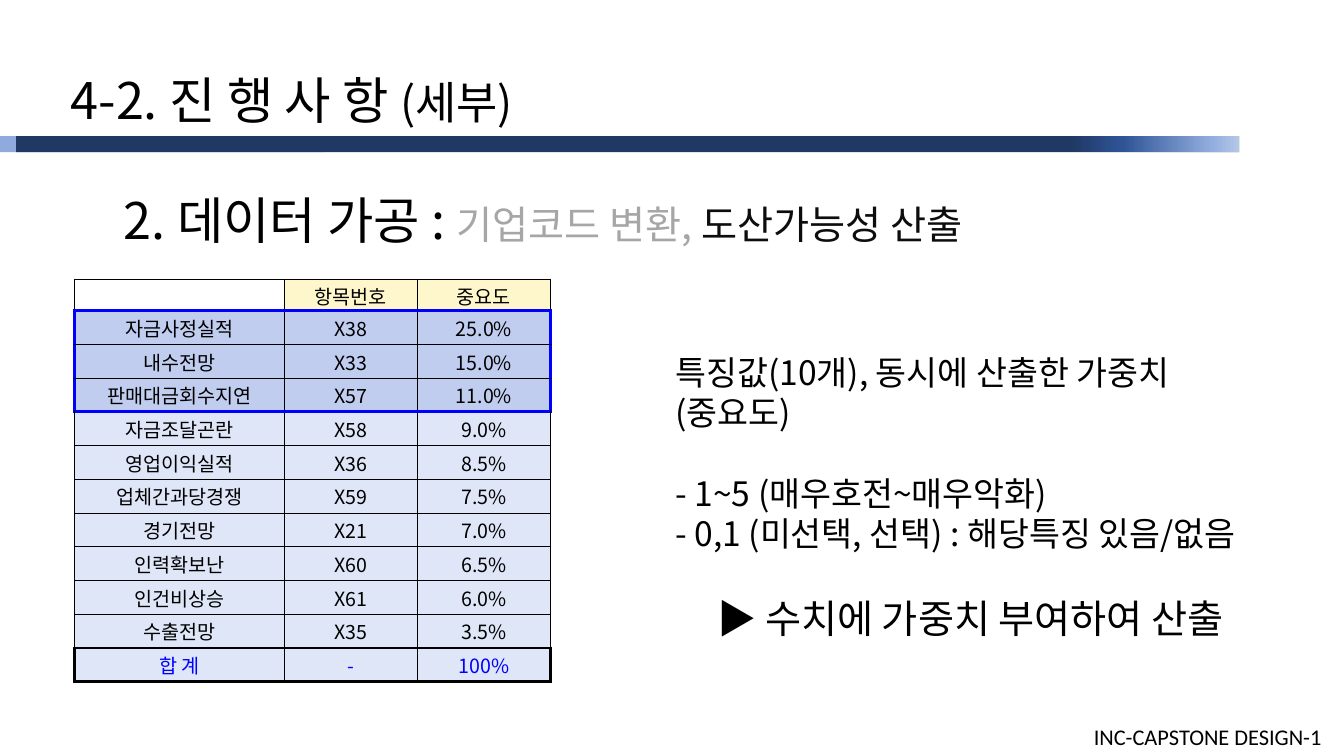
from pptx import Presentation
from pptx.dml.color import RGBColor
from pptx.enum.shapes import MSO_SHAPE as Shape
from pptx.enum.text import MSO_ANCHOR as Anchor, PP_ALIGN as Align
from pptx.oxml.ns import qn
from pptx.util import Inches, Pt
from lxml.etree import SubElement

KOREAN = "Noto Sans CJK KR"
BLACK, BLUE = "000000", "0000FF"
THIN, THICK = 0.28, 1.98

IMPORTANCE = [
    ("", "항목번호", "중요도"),
    ("자금사정실적", "X38", "25.0%"),
    ("내수전망", "X33", "15.0%"),
    ("판매대금회수지연", "X57", "11.0%"),
    ("자금조달곤란", "X58", "9.0%"),
    ("영업이익실적", "X36", "8.5%"),
    ("업체간과당경쟁", "X59", "7.5%"),
    ("경기전망", "X21", "7.0%"),
    ("인력확보난", "X60", "6.5%"),
    ("인건비상승", "X61", "6.0%"),
    ("수출전망", "X35", "3.5%"),
    ("합 계", "-", "100%"),
]
TOP_RANKED = range(1, 4)
TOTAL = len(IMPORTANCE) - 1


def color(value):
    return RGBColor.from_string(value)


def write(paragraph, text, size=24, ink=BLACK, font=KOREAN):
    run = paragraph.add_run()
    run.text = text
    run.font.size = Pt(size)
    run.font.name = font
    run.font.color.rgb = color(ink)
    SubElement(run.font._element, qn("a:ea"), typeface=font)


def row_fill(row, column):
    if row == 0:
        return "FFF7CC" if column else None
    return "C0CDEF" if row in TOP_RANKED else "DFE6F7"


def horizontal_edge(index):
    if index in (TOP_RANKED.start, TOP_RANKED.stop):
        return BLUE, THICK
    return BLACK, THICK if index >= TOTAL else THIN


def vertical_edge(row, index):
    if index in (0, 3):
        if row in TOP_RANKED:
            return BLUE, THICK
        if row == TOTAL:
            return BLACK, THICK
    return BLACK, THIN


class SlideBuilder:
    def __init__(self, deck):
        self.slide = deck.slides.add_slide(deck.slide_layouts[5])

    def bar(self, left, top, width, height, fill=None, stops=()):
        bar = self.slide.shapes.add_shape(
            Shape.RECTANGLE, Inches(left), Inches(top), Inches(width), Inches(height))
        bar.shadow.inherit = False
        bar.line.fill.background()
        if fill:
            bar.fill.solid()
            bar.fill.fore_color.rgb = color(fill)
            return
        bar.fill.gradient()
        bar.fill.gradient_angle = 180
        stop_list = bar._element.spPr.find(".//" + qn("a:gsLst"))
        for old_stop in list(stop_list):
            stop_list.remove(old_stop)
        for percent, shade in stops:
            stop = SubElement(stop_list, qn("a:gs"), pos=str(percent * 1000))
            SubElement(stop, qn("a:srgbClr"), val=shade)

    def place(self, shape, left, top, width, height, wrap=True):
        shape.left, shape.top = Inches(left), Inches(top)
        shape.width, shape.height = Inches(width), Inches(height)
        frame = shape.text_frame
        frame.word_wrap = wrap
        frame.vertical_anchor = Anchor.TOP
        frame.paragraphs[0].alignment = Align.LEFT
        return frame

    def title(self, *box):
        return self.place(self.slide.shapes.title, *box)

    def text(self, *box, wrap=True):
        return self.place(self.slide.shapes.add_textbox(0, 0, 0, 0), *box, wrap=wrap)

    def edge(self, cell, side, ink, width):
        line = SubElement(cell._tc.get_or_add_tcPr(), qn("a:" + side), w=str(Pt(width)))
        solid = SubElement(line, qn("a:solidFill"))
        SubElement(solid, qn("a:srgbClr"), val=ink)

    def cell(self, cell, text, row, column):
        cell.margin_left = cell.margin_right = Inches(0.07)
        cell.margin_top = cell.margin_bottom = Inches(0.02)
        cell.vertical_anchor = Anchor.MIDDLE
        self.edge(cell, "lnL", *vertical_edge(row, column))
        self.edge(cell, "lnR", *vertical_edge(row, column + 1))
        self.edge(cell, "lnT", *horizontal_edge(row))
        self.edge(cell, "lnB", *horizontal_edge(row + 1))
        fill = row_fill(row, column)
        if fill:
            cell.fill.solid()
            cell.fill.fore_color.rgb = color(fill)
        else:
            cell.fill.background()
        paragraph = cell.text_frame.paragraphs[0]
        paragraph.alignment = Align.CENTER
        paragraph.line_spacing = 1.03
        if text:
            write(paragraph, text, size=14, ink=BLUE if row == TOTAL else BLACK)
        else:
            paragraph.font.size = Pt(14)

    def table(self, rows, left, top, widths, header_height, row_height):
        height = header_height + row_height * (len(rows) - 1)
        table = self.slide.shapes.add_table(
            len(rows), len(widths), Inches(left), Inches(top),
            Inches(sum(widths)), Inches(height)).table
        table.first_row = table.horz_banding = False
        for column, width in zip(table.columns, widths):
            column.width = Inches(width)
        for row, values in enumerate(rows):
            table.rows[row].height = Inches(row_height if row else header_height)
            for column, value in enumerate(values):
                self.cell(table.cell(row, column), value, row, column)


def main():
    deck = Presentation()
    deck.slide_width, deck.slide_height = Inches(13.33), Inches(7.5)
    page = SlideBuilder(deck)

    page.bar(0, 1.35, 3.22, 0.16, "8FAADC")
    page.bar(0.16, 1.35, 12.13, 0.16, "203864")
    page.bar(10.62, 1.35, 1.67, 0.16, stops=[
        (0, "B4C7E7"), (18, "8FAADC"), (69, "2F5597"), (100, "203864")])
    footer = page.text(10.75, 7.13, 2.5, 0.37, wrap=False)
    write(footer.paragraphs[0], "INC-CAPSTONE DESIGN-1", size=16, font="Calibri")

    heading = page.title(0.6, 0.64, 6, 0.71).paragraphs[0]
    write(heading, "4-2. 진 행 사 항 ", size=36)
    write(heading, "(세부)", size=32)

    step = page.text(1.13, 1.83, 10.24, 0.71).paragraphs[0]
    write(step, "2. 데이터 가공 : ", size=36)
    write(step, "기업코드 변환, ", size=28, ink="A6A6A6")
    write(step, "도산가능성 산출", size=28, ink="0D0D0D")

    page.table(IMPORTANCE, 0.74, 2.77, (2.08, 1.32, 1.32), 0.31, 0.335)

    method = page.text(6.6, 3.44, 6.05, 3.4)
    write(method.paragraphs[0], "특징값(10개), 동시에 산출한 가중치(중요도)")
    for text, gap, size, align in [
        ("- 1~5 (매우호전~매우악화)", 29, 24, Align.LEFT),
        ("- 0,1 (미선택, 선택) : 해당특징 있음/없음", 0, 24, Align.LEFT),
        ("▶ 수치에 가중치 부여하여 산출", 29, 28, Align.CENTER),
    ]:
        paragraph = method.add_paragraph()
        paragraph.space_before = Pt(gap)
        paragraph.alignment = align
        write(paragraph, text, size=size)

    deck.save("out.pptx")


if __name__ == "__main__":
    main()
